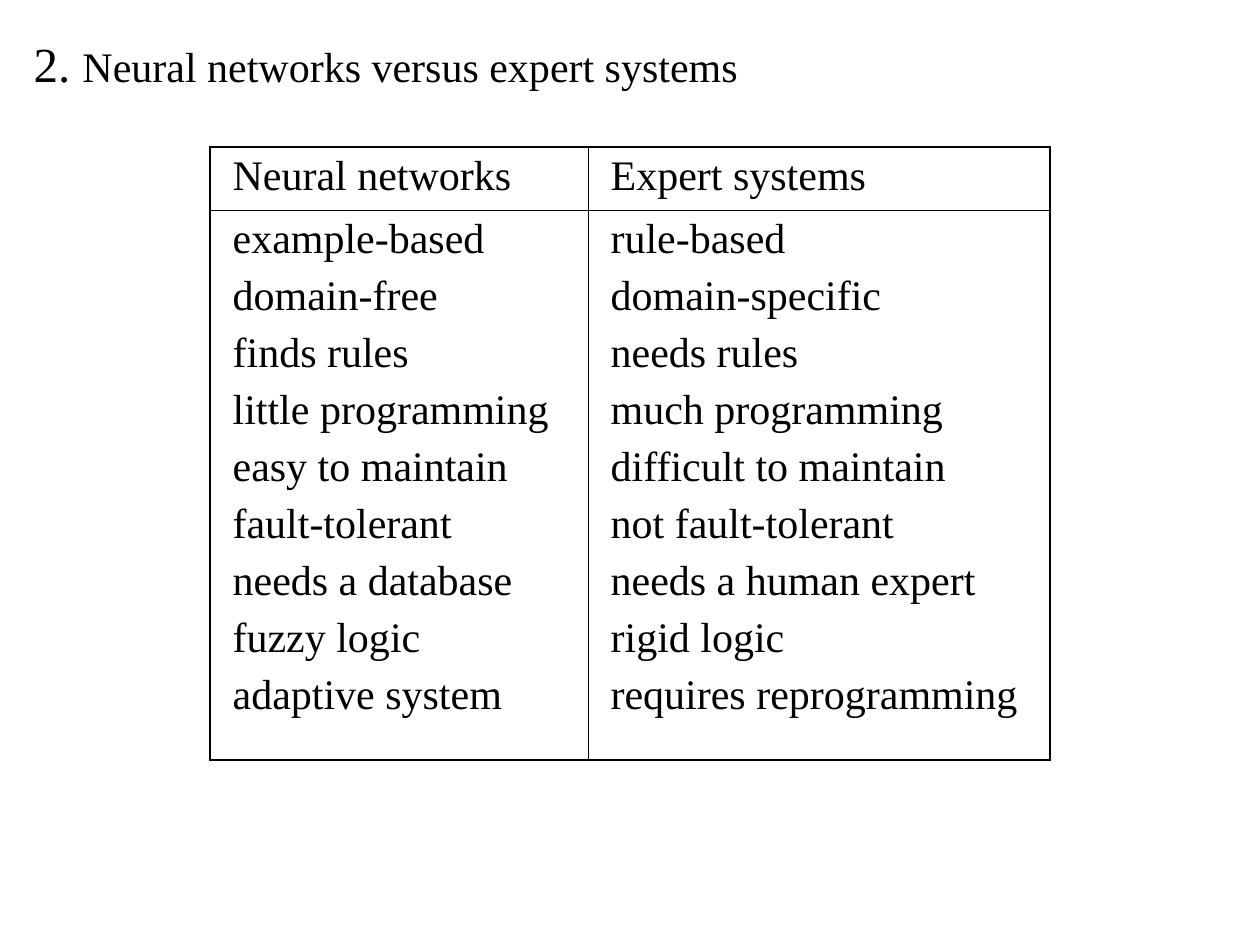
from lxml import etree
from pptx import Presentation
from pptx.dml.color import RGBColor
from pptx.enum.text import MSO_ANCHOR, MSO_AUTO_SIZE, PP_ALIGN
from pptx.oxml.ns import qn
from pptx.util import Inches, Pt

LEFT = PP_ALIGN.LEFT
TOP = MSO_ANCHOR.TOP
MIDDLE = MSO_ANCHOR.MIDDLE
FIXED = MSO_AUTO_SIZE.NONE

HEADS = ["Neural networks", "Expert systems"]
PAIRS = [
    ("example-based", "rule-based"),
    ("domain-free", "domain-specific"),
    ("finds rules", "needs rules"),
    ("little programming", "much programming"),
    ("easy to maintain", "difficult to maintain"),
    ("fault-tolerant", "not fault-tolerant"),
    ("needs a database", "needs a human expert"),
    ("fuzzy logic", "rigid logic"),
    ("adaptive system", "requires reprogramming"),
]


def color(code):
    return RGBColor.from_string(code)


class Deck:
    font = "Times New Roman"
    ink = "000000"
    size = 24
    thick = 1.08
    thin = 0.45

    def __init__(self, wide, high, cols, rows):
        self.prs = Presentation()
        self.prs.slide_width = Inches(wide)
        self.prs.slide_height = Inches(high)
        self.col = self.prs.slide_width / cols
        self.row = self.prs.slide_height / rows
        self.slide = self.prs.slides.add_slide(self.prs.slide_layouts[5])

    def box(self, x, y, w, h):
        return (round(x * self.col), round(y * self.row),
                round(w * self.col), round(h * self.row))

    def style(self, run, size):
        run.font.name = self.font
        run.font.size = Pt(size)
        run.font.color.rgb = color(self.ink)

    def title(self, parts, *place):
        shape = self.slide.shapes.title
        shape.left, shape.top, shape.width, shape.height = self.box(*place)
        frame = shape.text_frame
        frame.auto_size = FIXED
        frame.word_wrap = True
        frame.vertical_anchor = MIDDLE
        para = frame.paragraphs[0]
        para.alignment = LEFT
        for text, size in parts:
            run = para.add_run()
            run.text = text
            self.style(run, size)

    def edge(self, cell, side, width):
        line = etree.SubElement(cell._tc.get_or_add_tcPr(), qn(f"a:ln{side}"),
                                w=str(Pt(width)))
        fill = etree.SubElement(line, qn("a:solidFill"))
        etree.SubElement(fill, qn("a:srgbClr"), val=self.ink)

    def cell(self, cell, lines, outer):
        cell.margin_left = Inches(0.18)
        cell.margin_right = Inches(0.1)
        cell.vertical_anchor = TOP
        cell.text_frame.text = "\n".join(lines)
        for para in cell.text_frame.paragraphs:
            para.alignment = LEFT
            para.space_before = Pt(6)
            self.style(para.runs[0], self.size)
        for side in "LRTB":
            self.edge(cell, side, self.thick if side in outer else self.thin)
        cell.fill.background()

    def table(self, rows, x, y, cols, highs):
        place = self.box(x, y, sum(cols), sum(highs))
        grid = self.slide.shapes.add_table(len(rows), len(cols), *place).table
        grid.first_row = False
        grid.horz_banding = False
        for part, span in zip(grid.columns, cols):
            part.width = round(span * self.col)
        for part, span in zip(grid.rows, highs):
            part.height = round(span * self.row)
        for r, cells in enumerate(rows):
            for c, lines in enumerate(cells):
                self.cell(grid.cell(r, c), lines, "TB"[r] + "LR"[c])


def main():
    deck = Deck(10, 7.5, 60, 45)
    deck.title([("2. ", 28), ("Neural networks versus expert systems", 24)],
               1, 1, 51, 4)
    deck.table([[[head] for head in HEADS], list(zip(*PAIRS))],
               10, 7, [18, 22], [3, 26.2])
    deck.prs.save("out.pptx")


if __name__ == "__main__":
    main()
